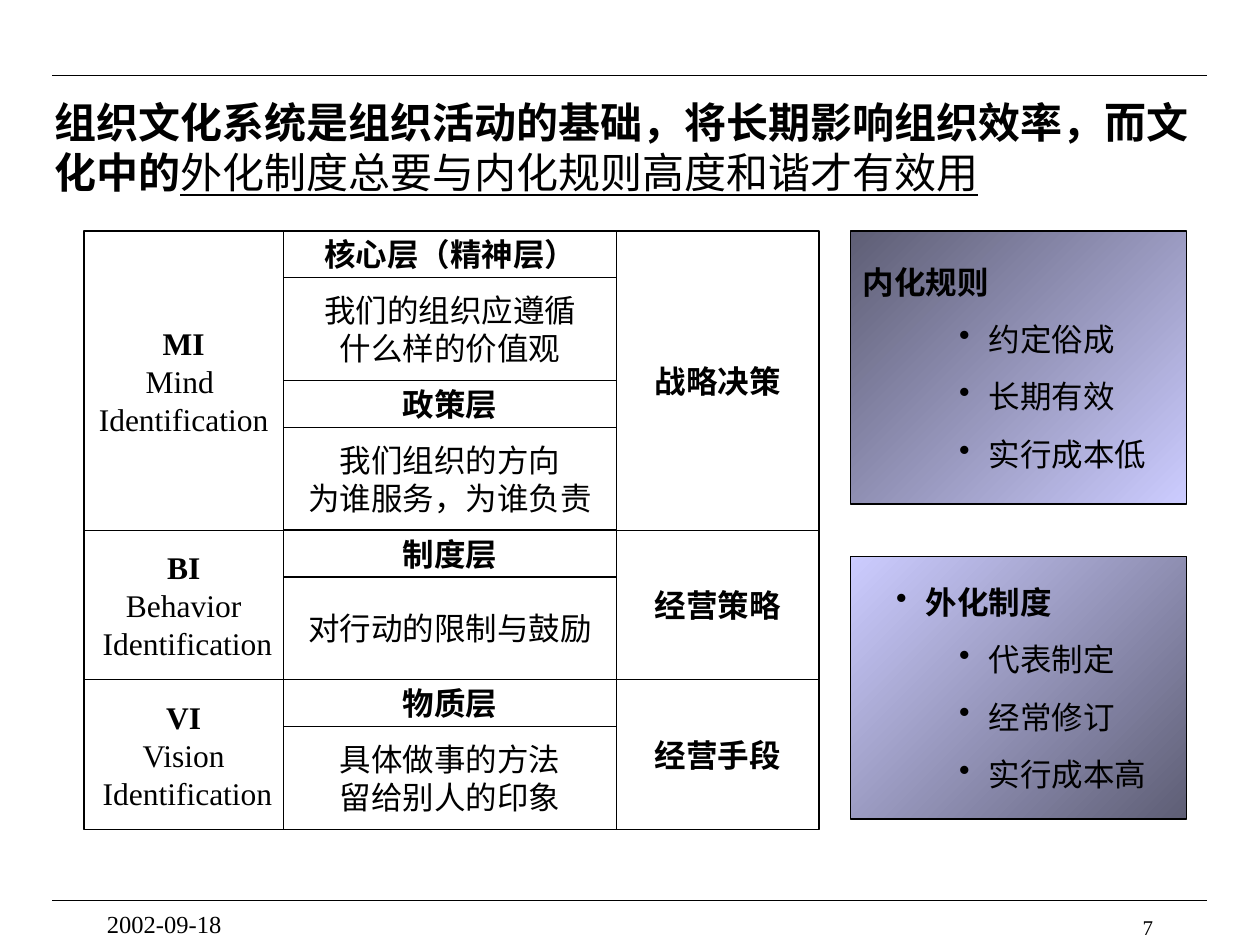
from dataclasses import dataclass

from lxml.etree import SubElement
from pptx import Presentation
from pptx.dml.color import RGBColor
from pptx.enum.shapes import MSO_CONNECTOR as Connector, MSO_SHAPE as Shape
from pptx.enum.text import MSO_ANCHOR as Anchor, PP_ALIGN as Align
from pptx.oxml.ns import qn
from pptx.util import Pt


@dataclass(frozen=True)
class Theme:
    font: str = "Times New Roman"
    ink: RGBColor = RGBColor(0x00, 0x00, 0x00)
    light: RGBColor = RGBColor(0xCC, 0xCC, 0xFF)
    dark: RGBColor = RGBColor(0x5E, 0x5E, 0x75)
    title: int = 24
    body: int = 18
    date: int = 14
    number: int = 12
    line: float = 0.75


THEME = Theme()

# Left-hand lines, (layer heading, layer lines) pairs, right-hand label
LAYER_GROUPS = [
    (["MI", "Mind ", "Identification"],
     [("核心层（精神层）", ["我们的组织应遵循", "什么样的价值观"]),
      ("政策层", ["我们组织的方向", "为谁服务，为谁负责"])],
     "战略决策"),
    (["BI", "Behavior", " Identification"],
     [("制度层", ["对行动的限制与鼓励"])],
     "经营策略"),
    (["VI", "Vision", " Identification"],
     [("物质层", ["具体做事的方法", "留给别人的印象"])],
     "经营手段"),
]


def style_run(run, size, bold=False):
    run.font.name = THEME.font
    run.font.size = Pt(size)
    run.font.bold = bold
    run.font.color.rgb = THEME.ink


def add_rule(slide, left, top, width):
    rule = slide.shapes.add_connector(
        Connector.STRAIGHT, Pt(left), Pt(top), Pt(left + width), Pt(top))
    rule.line.color.rgb = THEME.ink
    rule.line.width = Pt(THEME.line)
    SubElement(rule.element.spPr, qn("a:effectLst"))


def add_text(slide, box, text, size, align=Align.LEFT, space_before=0):
    text_box = slide.shapes.add_textbox(*map(Pt, box))
    text_box.text_frame.word_wrap = True
    paragraph = text_box.text_frame.paragraphs[0]
    paragraph.text = text
    paragraph.alignment = align
    paragraph.space_before = Pt(space_before)
    style_run(paragraph.runs[0], size)
    return text_box


def add_box(slide, box, lines, align, bold_first=True, wrap=False):
    """Outlined rectangle with one paragraph for each line."""
    shape = slide.shapes.add_shape(Shape.RECTANGLE, *map(Pt, box))
    shape.shadow.inherit = False
    shape.fill.background()
    shape.line.color.rgb = THEME.ink
    shape.line.width = Pt(THEME.line)
    frame = shape.text_frame
    frame.word_wrap = wrap
    frame.vertical_anchor = Anchor.MIDDLE
    frame.text = "\n".join(lines)
    for index, paragraph in enumerate(frame.paragraphs):
        paragraph.alignment = align
        style_run(paragraph.runs[0], THEME.body, bold_first and index == 0)
    return shape


def add_title(slide, box, claim, emphasis):
    title = add_text(slide, box, claim, THEME.title)
    title.text_frame.vertical_anchor = Anchor.MIDDLE
    paragraph = title.text_frame.paragraphs[0]
    paragraph.runs[0].font.bold = True
    run = paragraph.add_run()
    run.text = emphasis
    style_run(run, THEME.title)
    run.font.underline = True


def add_layer_grid(slide, box, groups):
    """Three columns; each group is as tall as the layers in its middle column."""
    left, top, width, height = box
    side_width, label_width = 114, 115.5
    middle_width = width - side_width - label_width
    middle = left + side_width
    layer_height = height / sum(len(layers) for _, layers, _ in groups)
    heading_height = 26.7
    for identity, layers, label in groups:
        group_height = layer_height * len(layers)
        add_box(slide, (left, top, side_width, group_height), identity, Align.CENTER)
        add_box(slide, (middle + middle_width, top, label_width, group_height),
                [label], Align.CENTER)
        for heading, lines in layers:
            add_box(slide, (middle, top, middle_width, heading_height),
                    [heading], Align.CENTER)
            add_box(slide, (middle, top + heading_height, middle_width,
                            layer_height - heading_height),
                    lines, Align.CENTER, bold_first=False)
            top += layer_height


def add_bullet(paragraph, level, hanging=17):
    paragraph.level = level
    properties = paragraph._p.get_or_add_pPr()
    properties.set("marL", str(Pt(36 * level)))
    properties.set("indent", str(-Pt(hanging)))
    SubElement(properties, qn("a:buChar"), char="•")


def add_panel(slide, box, heading, points, colours, bullet_heading=False):
    """Gradient panel; colours run from bottom right to top left."""
    panel = add_box(slide, box, [heading, *points], Align.LEFT, wrap=True)
    panel.fill.gradient()
    panel.fill.gradient_angle = 135
    for stop, colour, position in zip(panel.fill.gradient_stops, colours, (0, 1)):
        stop.color.rgb = colour
        stop.position = position
    for index, paragraph in enumerate(panel.text_frame.paragraphs):
        paragraph.space_before = Pt(11.2)
        if index or bullet_heading:
            add_bullet(paragraph, 2 if index else 1)


def add_footer(slide, box, date, number):
    left, top, width, height = box
    text_width = 150
    add_text(slide, (left, top, text_width, height), date, THEME.date)
    add_text(slide, (left + width - text_width, top + 3, text_width, 12),
             number, THEME.number, Align.RIGHT, 7.5)


def main():
    presentation = Presentation()
    presentation.slide_width, presentation.slide_height = Pt(720), Pt(540)
    slide = presentation.slides.add_slide(presentation.slide_layouts[6])

    for top in (43, 514.6):
        add_rule(slide, 30, top, 660)
    add_title(slide, (24, 48, 672, 72),
              "组织文化系统是组织活动的基础，将长期影响组织效率，而文化中的",
              "外化制度总要与内化规则高度和谐才有效用")
    add_layer_grid(slide, (48, 132, 420, 342), LAYER_GROUPS)
    add_panel(slide, (486, 132, 192, 156), "内化规则",
              ["约定俗成", "长期有效", "实行成本低"], (THEME.light, THEME.dark))
    add_panel(slide, (486, 318, 192, 150), "外化制度",
              ["代表制定", "经常修订", "实行成本高"], (THEME.dark, THEME.light),
              bullet_heading=True)
    add_footer(slide, (54, 516, 612, 18), "2002-09-18", "7")
    presentation.save("out.pptx")


if __name__ == "__main__":
    main()
